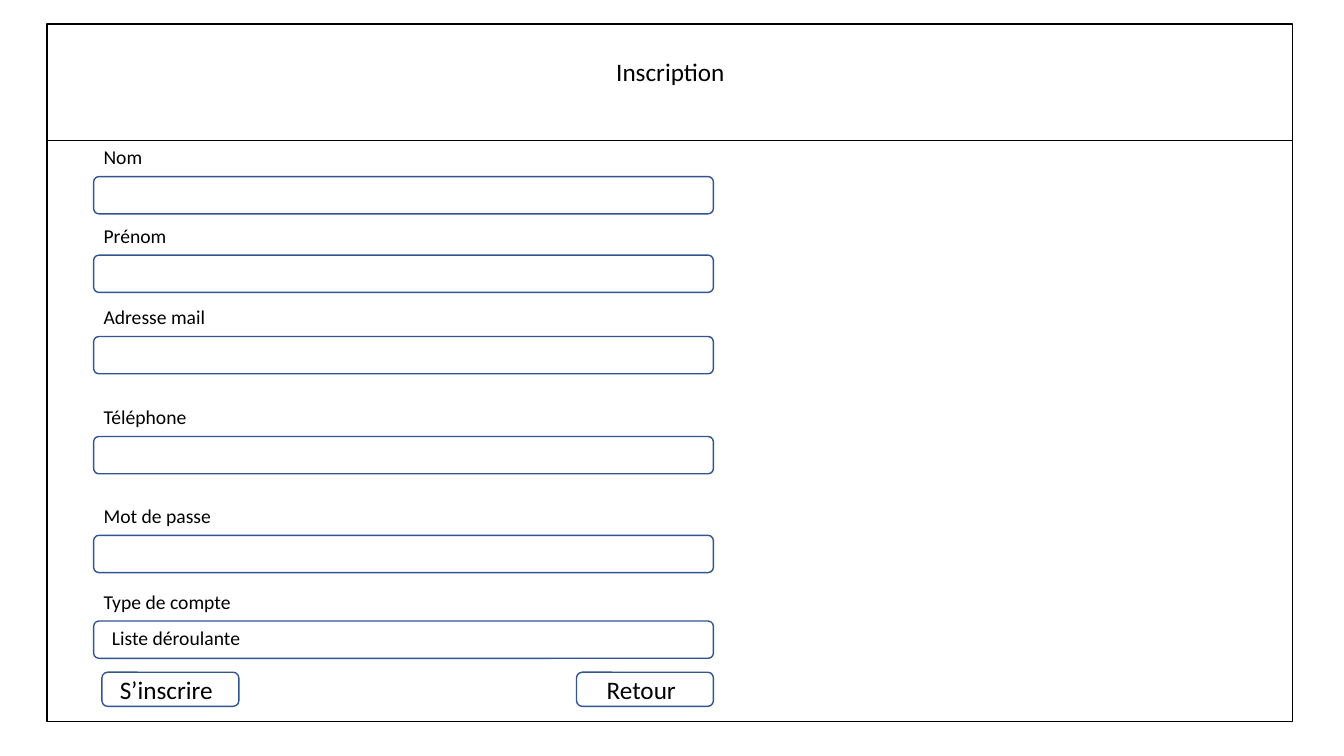
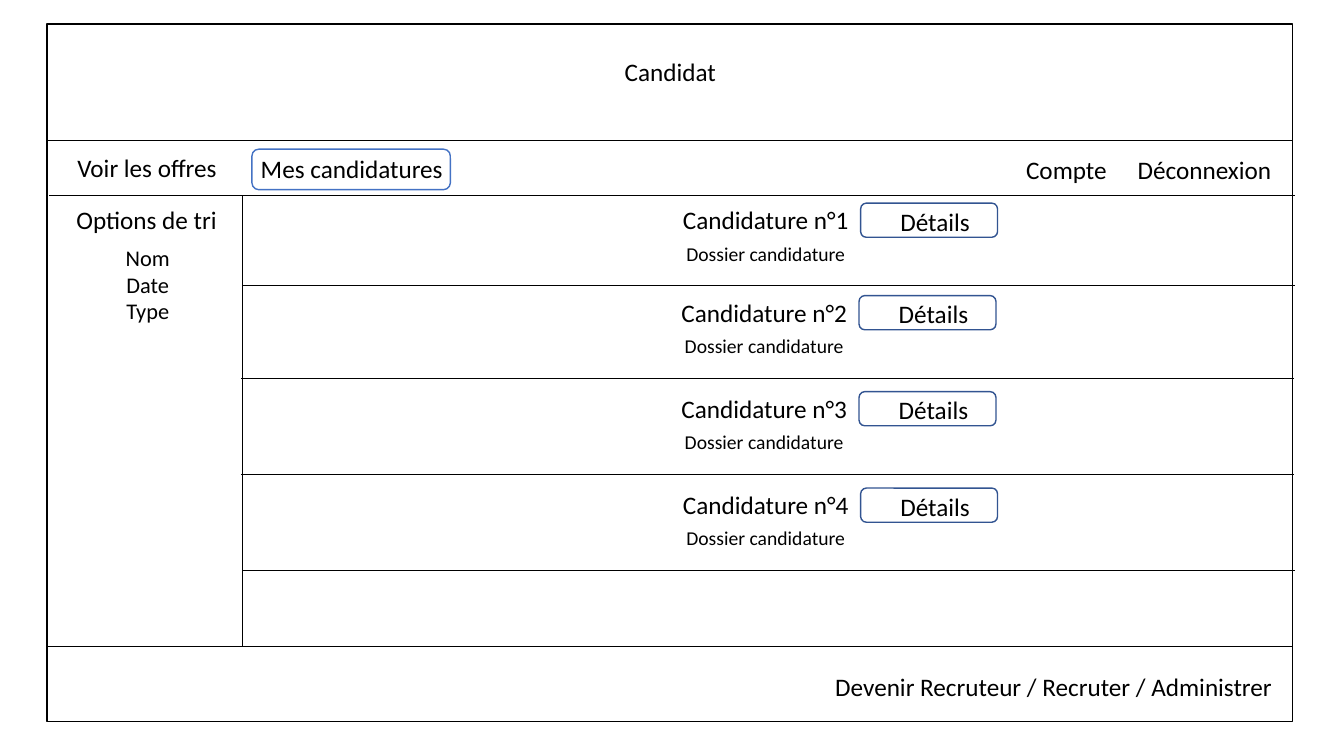
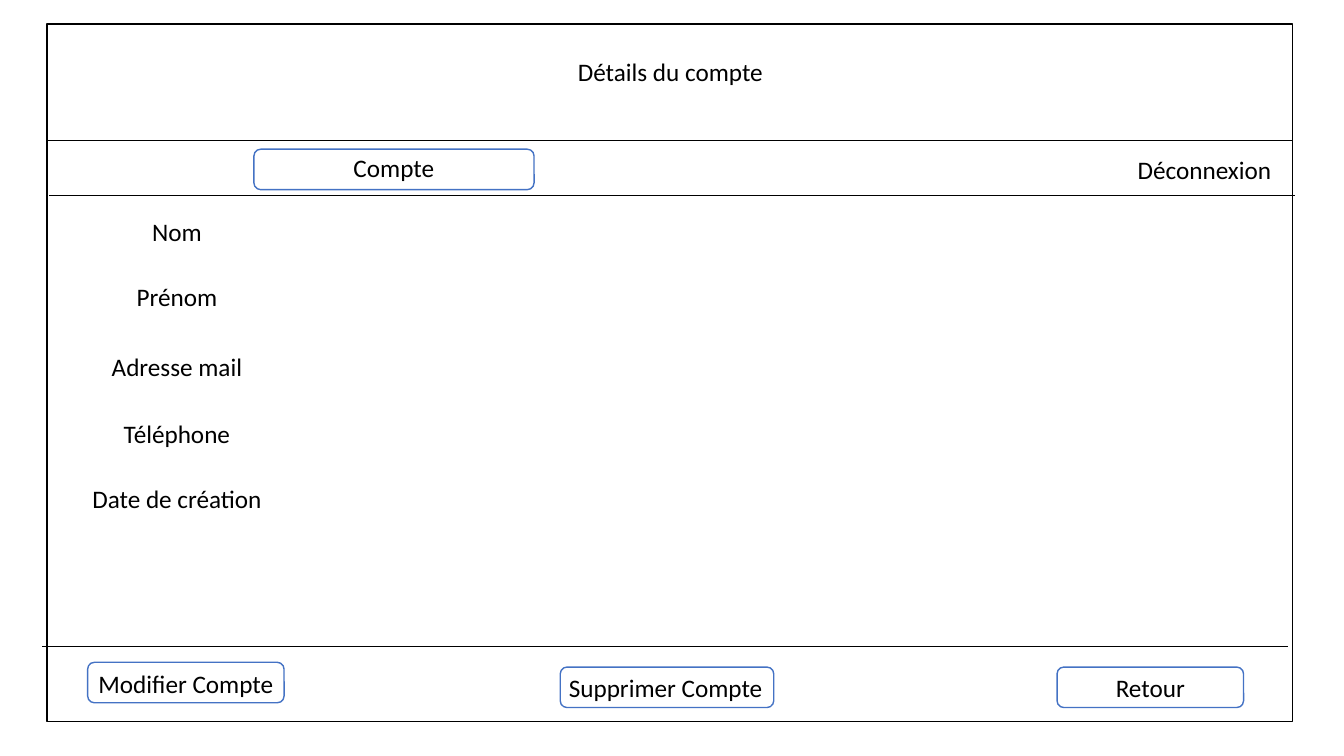
"""Build three wireframe screens of a recruitment site."""
from dataclasses import dataclass

from lxml import etree
from pptx import Presentation
from pptx import util as u
from pptx.dml.color import RGBColor
from pptx.enum import shapes, text
from pptx.oxml import ns

FONT = "Calibri"
BLACK, NAVY, BLUE = "000000", "325491", "4472C4"
LEFT, TOP, WIDE, HIGH = 1.19, 0.61, 31.39, 17.58
HEAD, MENU, FOOT = 3.53, 4.93, 16.28
ROW = 1.02


@dataclass(frozen=True)
class Label:
    """Text with its place and width."""
    words: str
    x: float
    y: float
    w: float


@dataclass(frozen=True)
class Box:
    """Outlined box with its place and size."""
    x: float
    y: float
    w: float
    h: float
    ink: str = NAVY
    bend: float = 0.167


def tint(code: str) -> RGBColor:
    """Turn a hex string into a colour."""
    return RGBColor.from_string(code)


def write(page, words: str, x: float, y: float, w: float, h: float = ROW, *,
          size: int = 18, mid: bool = True) -> None:
    """Place text, with one paragraph for each line."""
    area = page.shapes.add_textbox(u.Cm(x), u.Cm(y), u.Cm(w), u.Cm(h))
    frame = area.text_frame
    frame.word_wrap = True
    frame.auto_size = text.MSO_AUTO_SIZE.SHAPE_TO_FIT_TEXT
    frame.text = words
    for para in frame.paragraphs:
        para.alignment = text.PP_ALIGN.CENTER if mid else text.PP_ALIGN.LEFT
        for run in para.runs:
            run.font.name = FONT
            run.font.size = u.Pt(size)
            run.font.color.rgb = tint(BLACK)


def put(page, label: Label, **form) -> None:
    """Write one label."""
    write(page, label.words, label.x, label.y, label.w, **form)


def draw(page, box: Box) -> None:
    """Draw an unfilled box, rounded when it bends."""
    kind = shapes.MSO_SHAPE.ROUNDED_RECTANGLE if box.bend else shapes.MSO_SHAPE.RECTANGLE
    item = page.shapes.add_shape(kind, u.Cm(box.x), u.Cm(box.y), u.Cm(box.w), u.Cm(box.h))
    if box.bend:
        item.adjustments[0] = box.bend
    item.fill.background()
    item.line.color.rgb = tint(box.ink)
    item.line.width = u.Pt(1)
    item.shadow.inherit = False


def rule(page, x: float, y: float, end: float, base: float) -> None:
    """Draw a thin black line."""
    line = page.shapes.add_connector(
        shapes.MSO_CONNECTOR.STRAIGHT, u.Cm(x), u.Cm(y), u.Cm(end), u.Cm(base))
    line.line.color.rgb = tint(BLACK)
    line.line.width = u.Pt(0.5)
    etree.SubElement(line._element.spPr, ns.qn("a:effectLst"))


def level(page, y: float, shift: float = 0) -> None:
    """Draw a line across the whole frame."""
    rule(page, LEFT + shift, y, LEFT + WIDE + shift, y)


def screen(deck, title: str):
    """Add a slide with the frame and title band."""
    page = deck.slides.add_slide(deck.slide_layouts[6])
    draw(page, Box(LEFT, TOP, WIDE, HIGH, BLACK, 0))
    level(page, HEAD)
    write(page, title, 10.57, 1.3, 12.65)
    return page


def menu(page, shift: float) -> None:
    """Add the menu and footer lines and the sign-out entry."""
    level(page, MENU, 0.05)
    level(page, FOOT, shift)
    write(page, "Déconnexion", 27.69, 3.76, 5.33)


def signup(deck) -> None:
    """Build the sign-up form."""
    page = screen(deck, "Inscription")
    fields = {"Nom": 4.45, "Prénom": 6.43, "Adresse mail": 8.48,
              "Téléphone": 11, "Mot de passe": 13.49, "Type de compte": 15.65}
    for name, y in fields.items():
        draw(page, Box(2.36, y, 15.62, 0.94, bend=0.143))
        write(page, name, 2.36, y - 0.92, 6.2, 0.86, size=14, mid=False)
    write(page, "Liste déroulante", 2.57, 15.65, 6.2, 0.86, size=14, mid=False)
    for x, label in ((2.57, Label("S’inscrire", 2.77, 16.87, 3.23)),
                     (14.53, Label("Retour", 15.04, 16.87, 3.23))):
        draw(page, Box(x, 16.94, 3.45, 0.86))
        put(page, label, mid=False)


def card(page, rank: int, y: float, shift: float) -> None:
    """Add one application row."""
    rule(page, 6.12 + shift, y + 2.17, 32.64 + shift, y + 2.17)
    write(page, f"Candidature n°{rank}", 15.39 + shift, y, 7.82)
    draw(page, Box(21.69 + shift, y + 0.09, 3.45, 0.86))
    write(page, "Détails", 21.84 + shift, y + 0.04, 3.45)
    write(page, "Dossier candidature", 15.39 + shift, y + 0.93, 7.82, 0.86, size=14)


def apply(deck) -> None:
    """Build the list of applications."""
    page = screen(deck, "Candidat")
    menu(page, 0)
    rule(page, 6.12, MENU, 6.12, FOOT)
    for label in (Label("Options de tri", 0.66, 5.03, 6.07),
                  Label("Voir les offres", 1.04, 3.71, 5.33),
                  Label("Mes candidatures", 6.2, 3.73, 5.33),
                  Label("Compte", 24.21, 3.76, 5.33),
                  Label("Devenir Recruteur / Recruter / Administrer", 19.99, 16.79, 13.13)):
        put(page, label)
    write(page, "Nom\nDate\nType", 0.69, 6.02, 6.07, 2.31, size=16)
    rows = ((5.03, 0), (7.36, -0.04), (9.78, -0.04), (12.21, 0))
    for rank, (y, shift) in enumerate(rows, 1):
        card(page, rank, y, shift)
    draw(page, Box(6.35, 3.76, 5, ROW, BLUE))


def account(deck) -> None:
    """Build the account details."""
    page = screen(deck, "Détails du compte")
    menu(page, -0.12)
    fields = {"Nom": 5.33, "Prénom": 6.97, "Adresse mail": 8.74,
              "Téléphone": 10.42, "Date de création": 12.05}
    for name, y in fields.items():
        write(page, name, 0.55, y, 7.82)
    for label, box in (
            (Label("Compte", 7.26, 3.71, 5.33), Box(6.4, 3.76, 7.06, ROW, BLUE)),
            (Label("Retour", 26.87, 16.81, 4.24), Box(26.64, 16.81, 4.7, ROW, BLUE)),
            (Label("Supprimer Compte", 13.64, 16.81, 6.27), Box(14.12, 16.81, 5.38, ROW, BLUE)),
            (Label("Modifier Compte", 2.21, 16.71, 4.95), Box(2.21, 16.69, 4.95, ROW, BLUE))):
        put(page, label)
        draw(page, box)


def main() -> None:
    """Build and save the deck."""
    deck = Presentation()
    deck.slide_width, deck.slide_height = u.Cm(33.87), u.Cm(19.05)
    for build in (signup, apply, account):
        build(deck)
    deck.save("out.pptx")


main()
